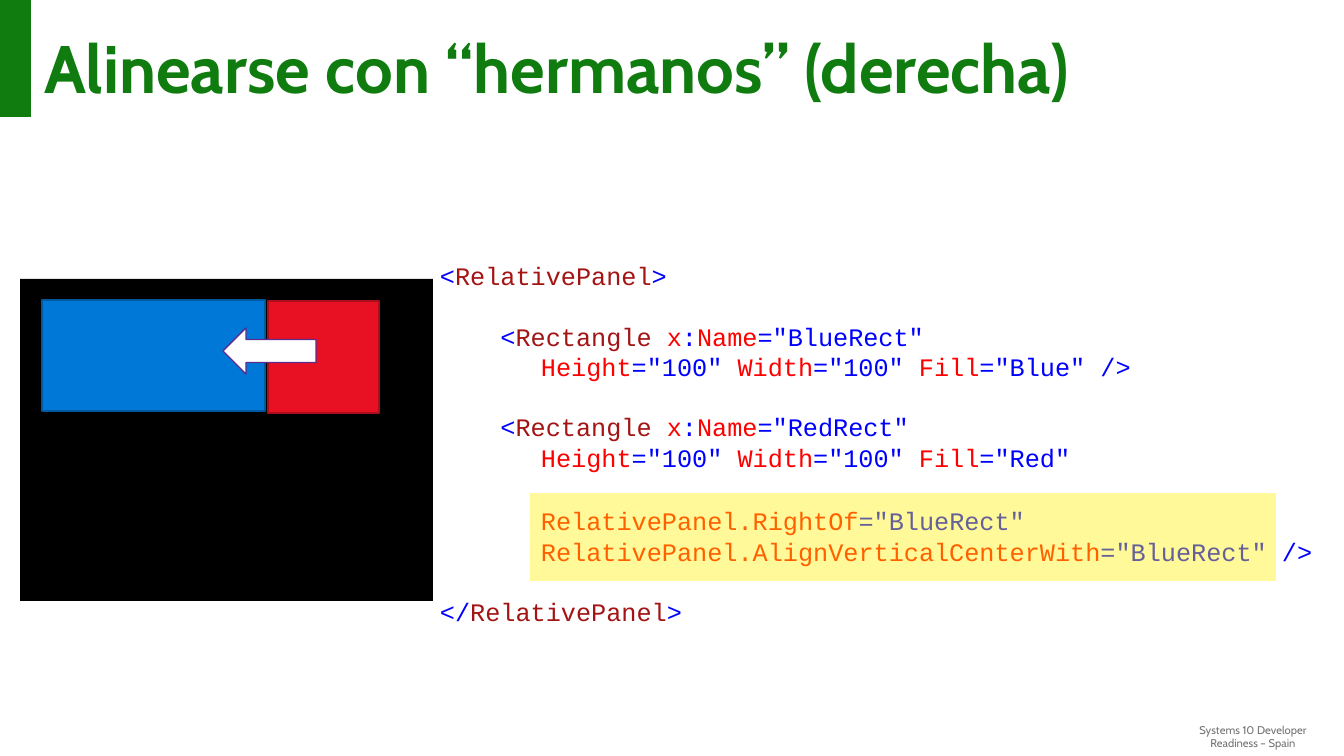
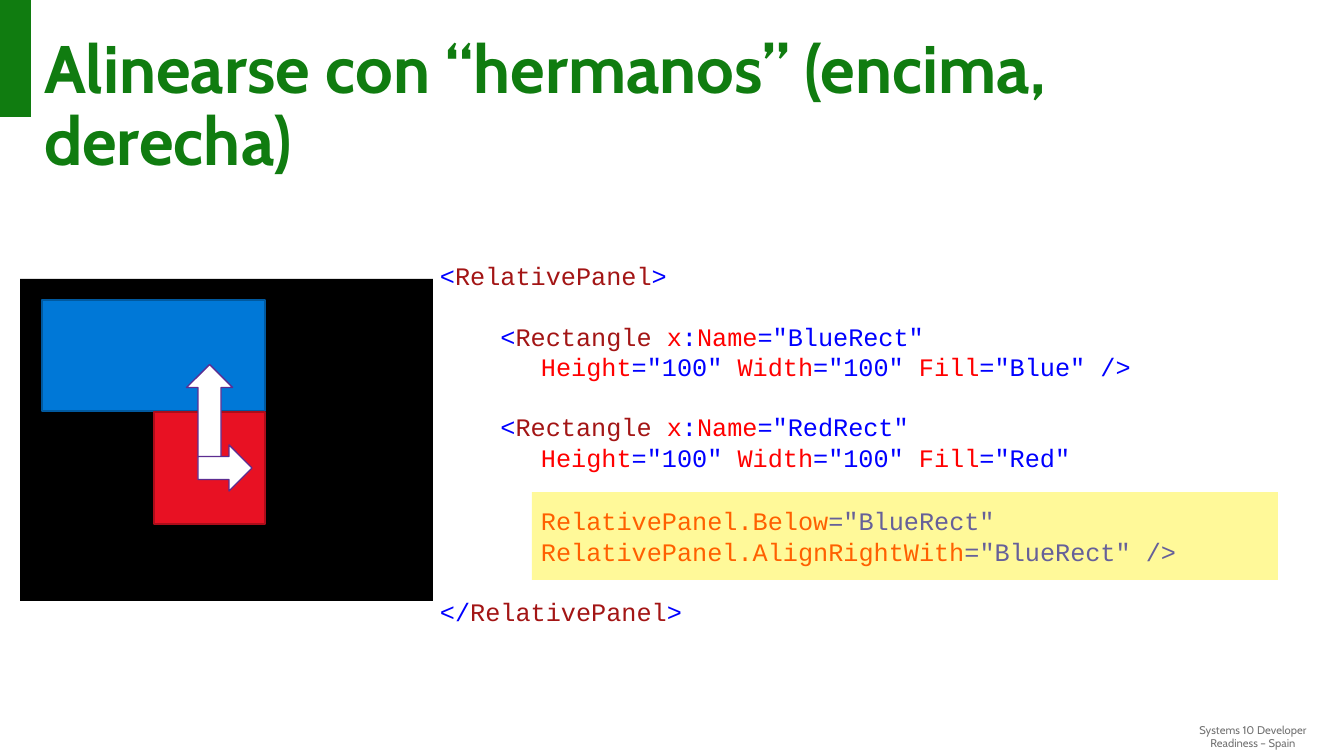
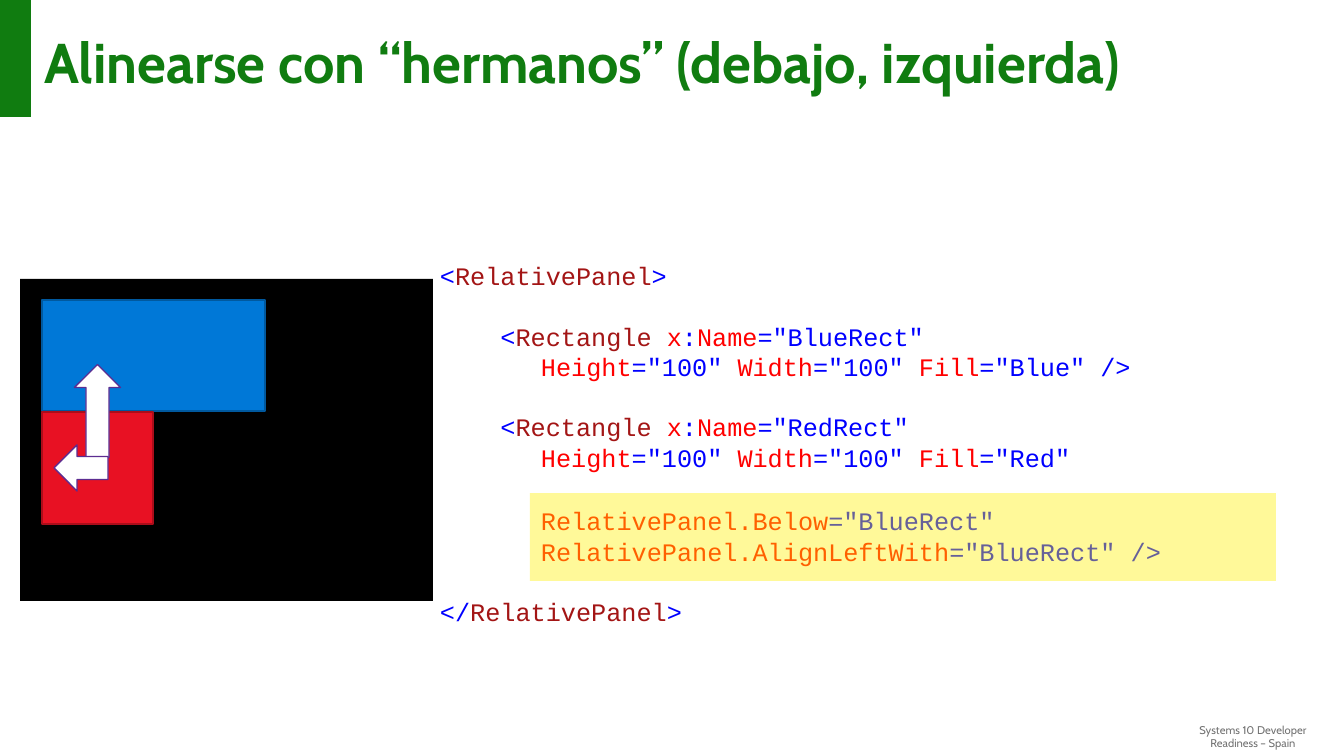
from dataclasses import dataclass

from lxml.etree import SubElement
from pptx import Presentation
from pptx.dml.color import RGBColor as Rgb
from pptx.enum.shapes import MSO_SHAPE as Form
from pptx.enum.text import MSO_ANCHOR as Anchor, PP_ALIGN as Align
from pptx.oxml.ns import qn
from pptx.util import Emu, Pt

HUES = {
    "green": "107C10", "grey": "737373", "black": "000000", "white": "FFFFFF",
    "blue": "0078D7", "navy": "00599F", "red": "E81123", "wine": "AC0D1A",
    "plum": "5C2D91", "glow": "FFF100",
    "mark": "0000FF", "tag": "A31515", "attr": "FF0000",
}
SANS, MONO = "Cabin", "Courier New"
LEAD = 21.6  # line pitch of the code, in points
STOP = 101  # tab stop of the code, in px


@dataclass(frozen=True)
class Box:
    x: int
    y: int
    w: int
    h: int


@dataclass(frozen=True)
class Block:
    """A filled shape on the slide."""
    box: Box
    fill: str
    line: str = ""
    form: Form = Form.RECTANGLE
    turn: int = 0
    alpha: int = 100


@dataclass(frozen=True)
class Page:
    title: str
    size: int
    red: tuple[int, int]
    arrows: list[Block]
    glow: tuple[int, int]
    rules: tuple[str, str]
    width: int = 919


def px(count: int) -> Emu:
    return Emu(round(count * 914400 / 100.8))


def place(box: Box) -> list[Emu]:
    return [px(n) for n in (box.x, box.y, box.w, box.h)]


def hue(name: str) -> Rgb:
    return Rgb.from_string(HUES[name])


def style(font, face: str, size: int, name: str, bold: bool = False) -> None:
    font.name, font.size, font.bold = face, Pt(size), bold
    font.color.rgb = hue(name)


def draw(slide, block: Block) -> None:
    shape = slide.shapes.add_shape(block.form, *place(block.box))
    shape.shadow.inherit = False
    shape.rotation = block.turn
    shape.fill.solid()
    shape.fill.fore_color.rgb = hue(block.fill)
    if block.alpha < 100:
        tint = shape.fill._xPr.find(qn("a:solidFill"))[0]
        SubElement(tint, qn("a:alpha"), val=str(block.alpha * 1000))
    if block.line:
        shape.line.color.rgb = hue(block.line)
        shape.line.width = Pt(1)
    else:
        shape.line.fill.background()


def frame(slide, box: Box, side: int, edge: int):
    text = slide.shapes.add_textbox(*place(box)).text_frame
    text.word_wrap = True
    text.margin_left = text.margin_right = px(side)
    text.margin_top = text.margin_bottom = px(edge)
    return text


def base(slide, page: Page) -> None:
    """Footer, green tab and title, the same on each slide."""
    note = frame(slide, Box(1161, 718, 184, 33), 10, 5)
    note.text = "Systems 10 Developer\vReadiness – Spain"
    para = note.paragraphs[0]
    para.alignment = Align.CENTER
    for run in para.runs:
        style(run.font, SANS, 8, "grey")

    draw(slide, Block(Box(0, 0, 31, 117), "green"))

    head = frame(slide, Box(29, 23, 1284, 108), 15, 12)
    head.text = page.title
    para = head.paragraphs[0]
    para.line_spacing = 0.9
    style(para.runs[0].font, SANS, page.size, "green", bold=True)


# Code is a list of (hue, text) parts; "\n" breaks the line
Parts = list[tuple[str, str]]


def attr(name: str, value: str) -> Parts:
    return [("attr", name), ("mark", f'="{value}"')]


def child(name: str, end: str) -> Parts:
    return [("mark", "    <"), ("tag", "Rectangle"), ("attr", " x"),
            ("mark", ":"), *attr("Name", f"{name}Rect"), ("mark", "\n"),
            *attr("\tHeight", "100"), *attr(" Width", "100"),
            *attr(" Fill", name), ("mark", end)]


def panel(start: str) -> Parts:
    return [("mark", start), ("tag", "RelativePanel"), ("mark", ">")]


def code(slide, page: Page) -> None:
    first, last = [attr(f"\tRelativePanel.{rule}", "BlueRect")
                   for rule in page.rules]
    lines = [
        (0, panel("<")),
        (LEAD, child("Blue", " />")),
        (LEAD, child("Red", "")),
        (24, [*first, ("mark", "\n"), *last, ("mark", " />")]),
        (LEAD, panel("</")),
    ]
    text = frame(slide, Box(425, 131, page.width, 625), 15, 12)
    text.vertical_anchor = Anchor.MIDDLE
    for i, (gap, parts) in enumerate(lines):
        para = text.add_paragraph() if i else text.paragraphs[0]
        para.line_spacing, para.space_before = Pt(LEAD), Pt(gap)
        tabs = SubElement(para._p.get_or_add_pPr(), qn("a:tabLst"))
        SubElement(tabs, qn("a:tab"), pos=str(px(STOP)), algn="l")
        for name, word in parts:
            if word == "\n":
                para.add_line_break()
                continue
            run = para.add_run()
            run.text = word
            style(run.font, MONO, 18, name)


def arrow(x: int, y: int, w: int, turn: int = 0) -> Block:
    return Block(Box(x, y, w, 46), "white", "plum", Form.LEFT_ARROW, turn)


def build(slide, page: Page) -> None:
    base(slide, page)
    code(slide, page)
    blocks = [
        Block(Box(20, 279, 413, 322), "black"),
        Block(Box(42, 300, 223, 111), "blue", "navy"),
        Block(Box(*page.red, 111, 112), "red", "wine"),
        *page.arrows,
        Block(Box(*page.glow, 746, 88), "glow", alpha=40),
    ]
    for block in blocks:
        draw(slide, block)


PAGES = [
    Page("Alinearse con “hermanos” (derecha)", 48, (268, 301),
         [arrow(223, 328, 93)], (530, 493),
         ("RightOf", "AlignVerticalCenterWith")),
    Page("Alinearse con “hermanos” (encima, derecha)", 48, (154, 412),
         [arrow(163, 388, 93, 90), arrow(198, 445, 54, 180)], (532, 492),
         ("Below", "AlignRightWith")),
    Page("Alinearse con “hermanos” (debajo, izquierda)", 40, (42, 412),
         [arrow(51, 388, 93, 90), arrow(54, 445, 54)], (530, 493),
         ("Below", "AlignLeftWith"), width=814),
]


def main() -> None:
    deck = Presentation()
    deck.slide_width, deck.slide_height = px(1344), px(756)
    for page in PAGES:
        build(deck.slides.add_slide(deck.slide_layouts[6]), page)
    deck.save("out.pptx")


if __name__ == "__main__":
    main()
